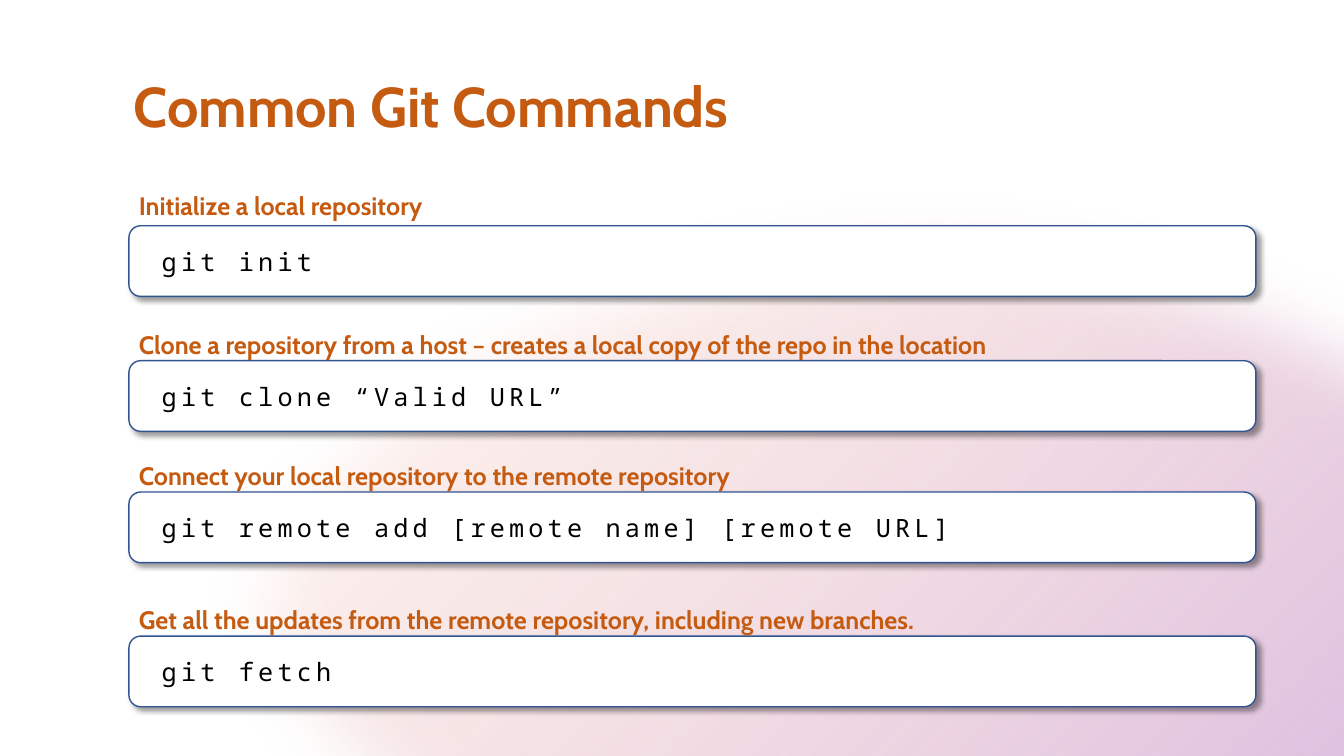
from lxml.etree import SubElement
from pptx import Presentation
from pptx.dml.color import RGBColor
from pptx.enum.shapes import MSO_SHAPE
from pptx.enum.text import MSO_ANCHOR, PP_ALIGN
from pptx.oxml.ns import qn
from pptx.util import Cm, Pt

ORANGE, PURPLE, BLUE = "C55A11", "7030A0", "325491"
WHITE, BLACK = "FFFFFF", "000000"
PEACH, LILAC = "FEC9A8", "BF95DF"
HEADING_FONT, CODE_FONT = "Cabin", "Noto Sans Mono"

LEFT, CODE_WIDTH, CODE_HEIGHT = 3.25, 28.4, 1.78
CAPTION_WIDTH, CAPTION_HEIGHT = 23.37, 1.02

# Caption top, code box top, caption, command
COMMANDS = [
    (4.67, 5.69, "Initialize a local repository", "git init"),
    (8.18, 9.09, "Clone a repository from a host – creates a local copy "
     "of the repo in the location", "git clone “Valid URL”"),
    (11.46, 12.4, "Connect your local repository to the remote repository",
     "git remote add [remote name] [remote URL]"),
    (15.09, 16.03, "Get all the updates from the remote repository, "
     "including new branches.", "git fetch"),
]


def color(value):
    return RGBColor.from_string(value)


def set_gradient(fill, colors, angle):
    """Fill with two colours, the angle measured clockwise."""
    fill.gradient()
    fill.gradient_angle = 360 - angle
    for stop, value in zip(fill.gradient_stops, colors):
        stop.color.rgb = color(value)


def add_element(parent, name, **attributes):
    return SubElement(parent, qn(name), {key: str(value) for key, value in attributes.items()})


def add_effect(shape, name, **attributes):
    shape.shadow.inherit = False
    effects = shape._element.spPr.find(qn("a:effectLst"))
    return add_element(effects, name, **attributes)


def write(shape, text, size=18, font=HEADING_FONT, fill=ORANGE, bold=False,
          align=PP_ALIGN.LEFT, anchor=MSO_ANCHOR.TOP, spacing=0, inset=0.25):
    frame = shape.text_frame
    frame.word_wrap = True
    frame.vertical_anchor = anchor
    frame.margin_left, frame.margin_right = Cm(inset), Cm(0.25)
    frame.margin_top = frame.margin_bottom = Cm(0.13)
    para = frame.paragraphs[0]
    para.alignment = align
    span = para.add_run()
    span.text = text
    span.font.name, span.font.size, span.font.bold = font, Pt(size), bold
    span.font.fill.solid()
    span.font.fill.fore_color.rgb = color(fill)
    if spacing:
        span.font._element.set("spc", str(spacing * 100))
    return span


def add_glow(page, left, top, width, height):
    """Soft ellipse that grows more opaque towards the lower right."""
    glow = page.shapes.add_shape(MSO_SHAPE.OVAL, Cm(left), Cm(top), Cm(width), Cm(height))
    set_gradient(glow.fill, (PEACH, LILAC), 45)
    glow.line.fill.background()
    stops = glow._element.spPr.iter(qn("a:srgbClr"))
    for stop, opacity in zip(stops, (10, 85)):
        add_element(stop, "a:alpha", val=opacity * 1000)
    add_effect(glow, "a:softEdge", rad=Pt(50))


def add_title(page, left, top, width, height):
    title = page.shapes.title
    title.left, title.top, title.width, title.height = map(Cm, (left, top, width, height))
    span = write(title, "Common Git Commands", size=40, bold=True, align=PP_ALIGN.CENTER)
    title.text_frame.paragraphs[0].line_spacing = 1.0
    set_gradient(span.font.fill, (ORANGE, PURPLE), 90)


def add_code_box(shapes, left, top, command):
    box = shapes.add_shape(MSO_SHAPE.ROUNDED_RECTANGLE, Cm(left), Cm(top),
                           Cm(CODE_WIDTH), Cm(CODE_HEIGHT))
    box.fill.solid()
    box.fill.fore_color.rgb = color(WHITE)
    box.line.color.rgb = color(BLUE)
    box.line.width = Pt(1)
    shadow = add_effect(box, "a:outerShdw", blurRad=Pt(4), dist=Pt(3),
                        dir=45 * 60000, algn="tl", rotWithShape=0)
    add_element(add_element(shadow, "a:srgbClr", val=BLACK), "a:alpha", val=40000)
    write(box, command, font=CODE_FONT, fill=BLACK, anchor=MSO_ANCHOR.MIDDLE,
          spacing=3, inset=0.74)


def add_command(page, left, caption_top, code_top, caption, command):
    group = page.shapes.add_group_shape()
    add_code_box(group.shapes, left, code_top, command)
    label = group.shapes.add_textbox(Cm(left), Cm(caption_top),
                                     Cm(CAPTION_WIDTH), Cm(CAPTION_HEIGHT))
    write(label, caption, bold=True)


def main():
    deck = Presentation()
    deck.slide_width, deck.slide_height = Cm(33.87), Cm(19.05)
    page = deck.slides.add_slide(deck.slide_layouts[5])
    add_glow(page, 4.72, 4.57, 36.96, 21.39)
    add_title(page, 1.9, 1.68, 17.93, 1.96)
    for command in COMMANDS:
        add_command(page, LEFT, *command)
    deck.save("out.pptx")


if __name__ == "__main__":
    main()
